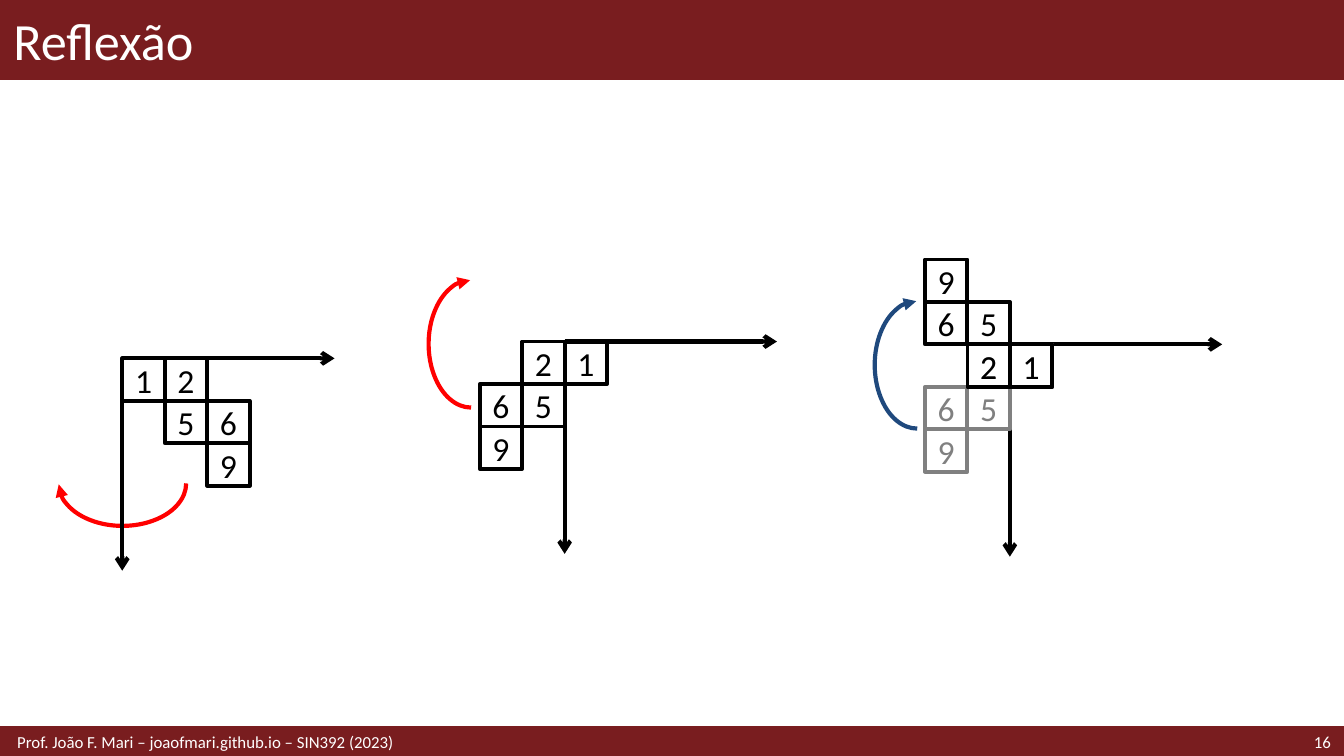
from lxml import etree
from pptx import Presentation
from pptx.dml.color import RGBColor
from pptx.enum.shapes import MSO_CONNECTOR, MSO_SHAPE
from pptx.enum.text import MSO_ANCHOR, PP_ALIGN
from pptx.oxml.ns import qn
from pptx.util import Pt

RECT, ARC = MSO_SHAPE.RECTANGLE, MSO_SHAPE.ARC
STRAIGHT = MSO_CONNECTOR.STRAIGHT
MIDDLE = MSO_ANCHOR.MIDDLE
LEFT, CENTER, RIGHT = PP_ALIGN.LEFT, PP_ALIGN.CENTER, PP_ALIGN.RIGHT
MAROON, WHITE, BLACK, GREY = "791D1F", "FFFFFF", "000000", "808080"
RED, BLUE = "FF0000", "1F497D"
color = RGBColor.from_string


def write(sp, text, size=9, fill=WHITE, align=LEFT, left=7.2, right=7.2):
    tf = sp.text_frame
    tf.word_wrap = True
    tf.vertical_anchor = MIDDLE
    tf.margin_left, tf.margin_right = Pt(left), Pt(right)
    tf.margin_top = tf.margin_bottom = 0
    p = tf.paragraphs[0]
    p.alignment = align
    r = p.add_run()
    r.text = text
    r.font.size = Pt(size)
    r.font.name = "Calibri"
    r.font.color.rgb = color(fill)


def outline(sp, stroke, width, end=None, arrow=None):
    sp.line.color.rgb = color(stroke)
    sp.line.width = Pt(width)
    if end:
        etree.SubElement(sp.line._get_or_add_ln(), qn(end), type=arrow)


prs = Presentation()
prs.slide_width, prs.slide_height = Pt(720), Pt(405)
s = prs.slides.add_slide(prs.slide_layouts[5])

# Title and footer bars, behind the title
title = s.shapes.title
for top, height, width in [(0, 42.5, 1), (390, 15, 2)]:
    bar = s.shapes.add_shape(RECT, 0, Pt(top), Pt(720), Pt(height))
    bar.shadow.inherit = False
    bar.fill.solid()
    bar.fill.fore_color.rgb = color(MAROON)
    outline(bar, MAROON, width)
    title._element.addprevious(bar._element)

# Title, page number and footer text
title.left, title.top, title.width, title.height = 0, 0, Pt(720), Pt(42.5)
write(title, "Reflexão", size=28)
number = s.shapes.add_textbox(Pt(638), Pt(390), Pt(82), Pt(15))
write(number, "16", align=RIGHT)
footer = s.shapes.add_textbox(0, Pt(390), Pt(496), Pt(15))
write(footer, "Prof. João F. Mari – joaofmari.github.io – SIN392 (2023)", left=9.2)

# Panels: axis origin, arc position, rotation and colour,
# then each mask as x direction, y direction, colour
CELL = 22.75
AXIS = 5 * CELL
mask = [("1", 0, 0), ("2", 1, 0), ("5", 1, 1), ("6", 2, 1), ("9", 2, 2)]
panels = [
    (65.5, 192, 31.5, 236.25, 0, RED, [(1, 1, BLACK)]),
    (302.5, 183, 218.25, 161.5, 90, RED, [(-1, 1, BLACK)]),
    (541, 184.5, 457.25, 172.75, 90, BLUE, [(-1, 1, GREY), (-1, -1, BLACK)]),
]

for x, y, arc_x, arc_y, rotation, arc_color, reflections in panels:
    # Curved arrow showing the flip
    arc = s.shapes.add_shape(ARC, Pt(arc_x), Pt(arc_y), Pt(3 * CELL), Pt(2 * CELL))
    arc.shadow.inherit = False
    arc.adjustments[0], arc.adjustments[1] = 108.504, 0
    arc.rotation = rotation
    arc._element.spPr.find(qn("a:xfrm")).set("flipV", "1")
    arc.fill.background()
    outline(arc, arc_color, 2.25, "a:headEnd", "triangle")

    # Axes
    for end_x, end_y in [(x, y + AXIS), (x + AXIS, y)]:
        axis = s.shapes.add_connector(STRAIGHT, Pt(x), Pt(y), Pt(end_x), Pt(end_y))
        outline(axis, BLACK, 2.25, "a:tailEnd", "arrow")
        etree.SubElement(axis._element.spPr, qn("a:effectLst"))

    # Mask cells
    for x_dir, y_dir, cell_color in reflections:
        for value, col, row in mask:
            cell = s.shapes.add_shape(RECT, Pt(x + x_dir * col * CELL),
                                      Pt(y + y_dir * row * CELL), Pt(CELL), Pt(CELL))
            cell.shadow.inherit = False
            cell.fill.background()
            outline(cell, cell_color, 2)
            write(cell, value, size=18, fill=cell_color, align=CENTER, left=0, right=0)

prs.save("out.pptx")
